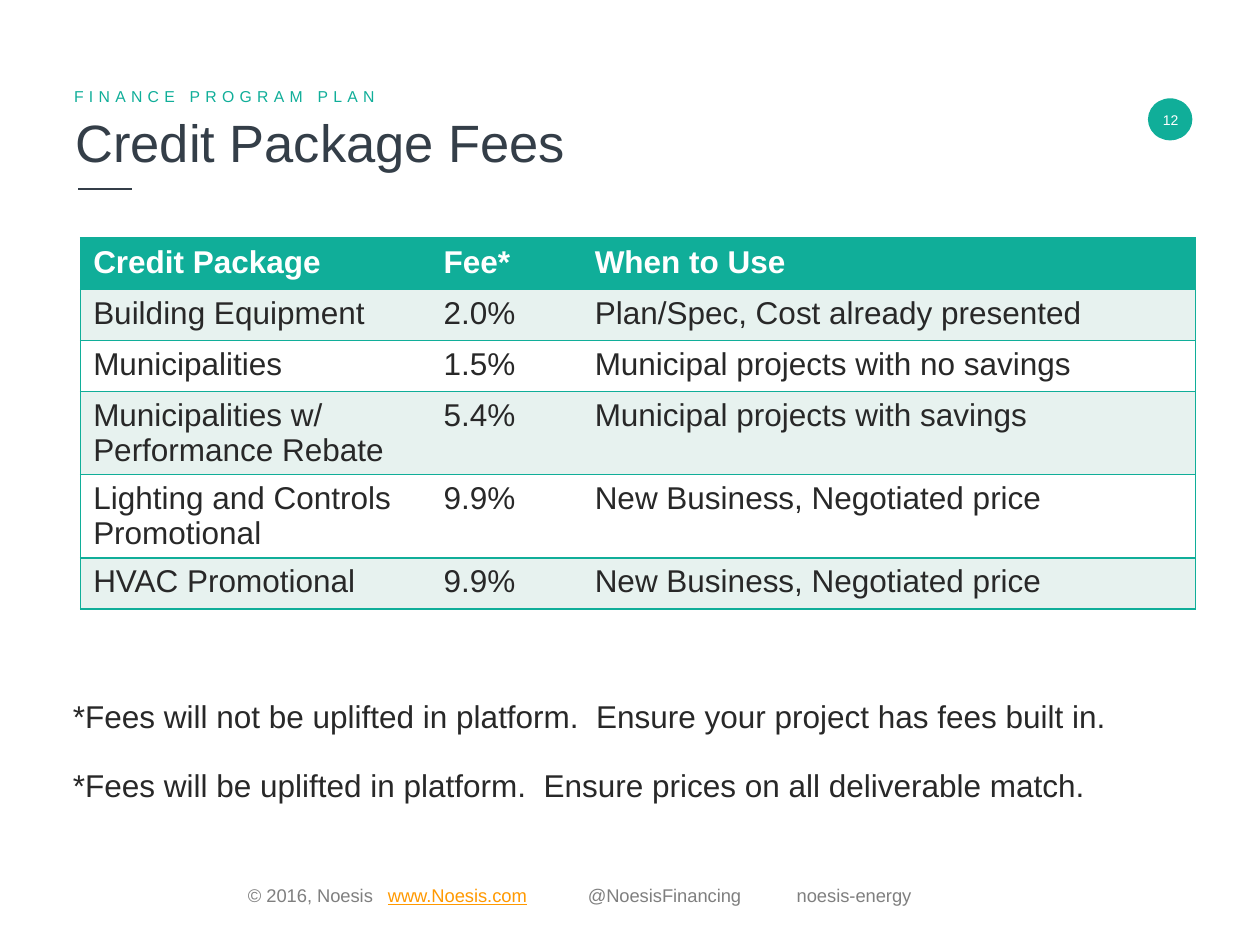
from dataclasses import dataclass

from lxml import etree
from pptx import Presentation
from pptx.dml.color import RGBColor
from pptx.enum.shapes import MSO_CONNECTOR, MSO_SHAPE
from pptx.enum.text import MSO_ANCHOR, PP_ALIGN
from pptx.oxml.ns import qn
from pptx.slide import Slide
from pptx.table import _Cell
from pptx.util import Pt

OVAL = MSO_SHAPE.OVAL
STRAIGHT = MSO_CONNECTOR.STRAIGHT
TOP, MIDDLE = MSO_ANCHOR.TOP, MSO_ANCHOR.MIDDLE
LEFT, CENTER = PP_ALIGN.LEFT, PP_ALIGN.CENTER

TEAL = RGBColor(0x10, 0xAE, 0x99)
SLATE = RGBColor(0x34, 0x3E, 0x48)
INK = RGBColor(0x28, 0x28, 0x28)
GRAY = RGBColor(0x7F, 0x7F, 0x7F)
ORANGE = RGBColor(0xFF, 0x99, 0x00)
MINT = RGBColor(0xE7, 0xF2, 0xEF)
WHITE = RGBColor(0xFF, 0xFF, 0xFF)
FONT = "Arial"


@dataclass(frozen=True)
class Run:
    text: str
    size: float
    color: RGBColor
    bold: bool = False
    underline: bool = False
    spacing: float = 0


@dataclass(frozen=True)
class TextBox:
    left: float
    top: float
    width: float
    height: float
    runs: tuple[Run, ...]
    anchor: MSO_ANCHOR = TOP
    align: PP_ALIGN = LEFT
    tabs: tuple[float, ...] = ()


@dataclass(frozen=True)
class Package:
    name: str
    fee: str
    use: str


TEXTS = [
    TextBox(653.8, 54, 30.2, 28.8, (Run("12", 8, WHITE),), MIDDLE, CENTER),
    TextBox(134.6, 501.8, 401.8, 20.2, (
        Run("© 2016, Noesis\t", 10.5, GRAY),
        Run("www.Noesis.com", 10.5, ORANGE, underline=True),
        Run("\t@NoesisFinancing\tnoesis-energy", 10.5, GRAY),
    ), tabs=(80, 194.2, 313.6)),
    TextBox(36, 36, 599.8, 90, (Run("Credit Package Fees", 30, SLATE),), MIDDLE),
    TextBox(34.6, 394.6, 635, 28.8, (Run(
        "*Fees will not be uplifted in platform.  Ensure your project has fees built in.",
        18, INK),)),
    TextBox(34.6, 434.2, 638.6, 28.8, (Run(
        "*Fees will be uplifted in platform.  Ensure prices on all deliverable match.",
        18, INK),)),
    TextBox(35.3, 46.1, 396, 33.8, (Run("FINANCE PROGRAM PLAN", 9, TEAL, spacing=3),)),
]

PACKAGES = [
    Package("Credit Package", "Fee*", "When to Use"),
    Package("Building Equipment", "2.0%", "Plan/Spec, Cost already presented"),
    Package("Municipalities", "1.5%", "Municipal projects with no savings"),
    Package("Municipalities w/ Performance Rebate", "5.4%", "Municipal projects with savings"),
    Package("Lighting and Controls Promotional", "9.9%", "New Business, Negotiated price"),
    Package("HVAC Promotional", "9.9%", "New Business, Negotiated price"),
]
COLUMN_WIDTHS = (200.2, 86.4, 350.6)
ROW_HEIGHT = 29.2


def add_run(p, run: Run) -> None:
    r = p.add_run()
    r.text = run.text
    r.font.name = FONT
    r.font.size = Pt(run.size)
    r.font.color.rgb = run.color
    r.font.bold = run.bold
    r.font.underline = run.underline
    if run.spacing:
        r.font._element.set("spc", str(round(run.spacing * 100)))


def add_text(s: Slide, box: TextBox) -> None:
    sp = s.shapes.add_textbox(Pt(box.left), Pt(box.top), Pt(box.width), Pt(box.height))
    tf = sp.text_frame
    tf.word_wrap = True
    tf.vertical_anchor = box.anchor
    p = tf.paragraphs[0]
    p.alignment = box.align
    if box.tabs:
        tab_list = etree.SubElement(p._p.get_or_add_pPr(), qn("a:tabLst"))
        for pos in box.tabs:
            etree.SubElement(tab_list, qn("a:tab"), pos=str(Pt(pos)), algn="l")
    for run in box.runs:
        add_run(p, run)


def set_borders(cell: _Cell, visible: dict[str, bool]) -> None:
    tc_pr = cell._tc.get_or_add_tcPr()
    for i, (side, shown) in enumerate(visible.items()):
        ln = etree.Element(qn(f"a:ln{side}"), w=str(Pt(1)))
        if shown:
            fill = etree.SubElement(ln, qn("a:solidFill"))
            etree.SubElement(fill, qn("a:srgbClr"), val=str(TEAL))
        else:
            etree.SubElement(ln, qn("a:noFill"))
        tc_pr.insert(i, ln)


def add_fee_table(s: Slide, left: float, top: float) -> None:
    rows, cols = len(PACKAGES), len(COLUMN_WIDTHS)
    table = s.shapes.add_table(rows, cols, Pt(left), Pt(top),
                               Pt(sum(COLUMN_WIDTHS)), Pt(rows * ROW_HEIGHT)).table
    for column, width in zip(table.columns, COLUMN_WIDTHS):
        column.width = Pt(width)
    for i, package in enumerate(PACKAGES):
        table.rows[i].height = Pt(ROW_HEIGHT)
        header = i == 0
        fill = TEAL if header else MINT if i % 2 else WHITE
        for j, text in enumerate((package.name, package.fee, package.use)):
            cell = table.cell(i, j)
            cell.fill.solid()
            cell.fill.fore_color.rgb = fill
            set_borders(cell, {"L": j == 0, "R": j == cols - 1, "T": True, "B": True})
            add_run(cell.text_frame.paragraphs[0],
                    Run(text, 18, WHITE if header else INK, bold=header))


def add_badge(s: Slide) -> None:
    sp = s.shapes.add_shape(OVAL, Pt(656), Pt(56.2), Pt(25.4), Pt(24))
    sp.shadow.inherit = False
    sp.fill.solid()
    sp.fill.fore_color.rgb = TEAL
    sp.line.fill.background()


def add_title_rule(s: Slide) -> None:
    rule = s.shapes.add_connector(STRAIGHT, Pt(44.6), Pt(108), Pt(75.6), Pt(108))
    rule.line.color.rgb = SLATE
    rule.line.width = Pt(1)
    etree.SubElement(rule._element.spPr, qn("a:effectLst"))


def main() -> None:
    prs = Presentation()
    prs.slide_width, prs.slide_height = Pt(720), Pt(540)
    s = prs.slides.add_slide(prs.slide_layouts[6])
    add_badge(s)
    add_title_rule(s)
    add_fee_table(s, 46.1, 136.1)
    for box in TEXTS:
        add_text(s, box)
    prs.save("out.pptx")


if __name__ == "__main__":
    main()
